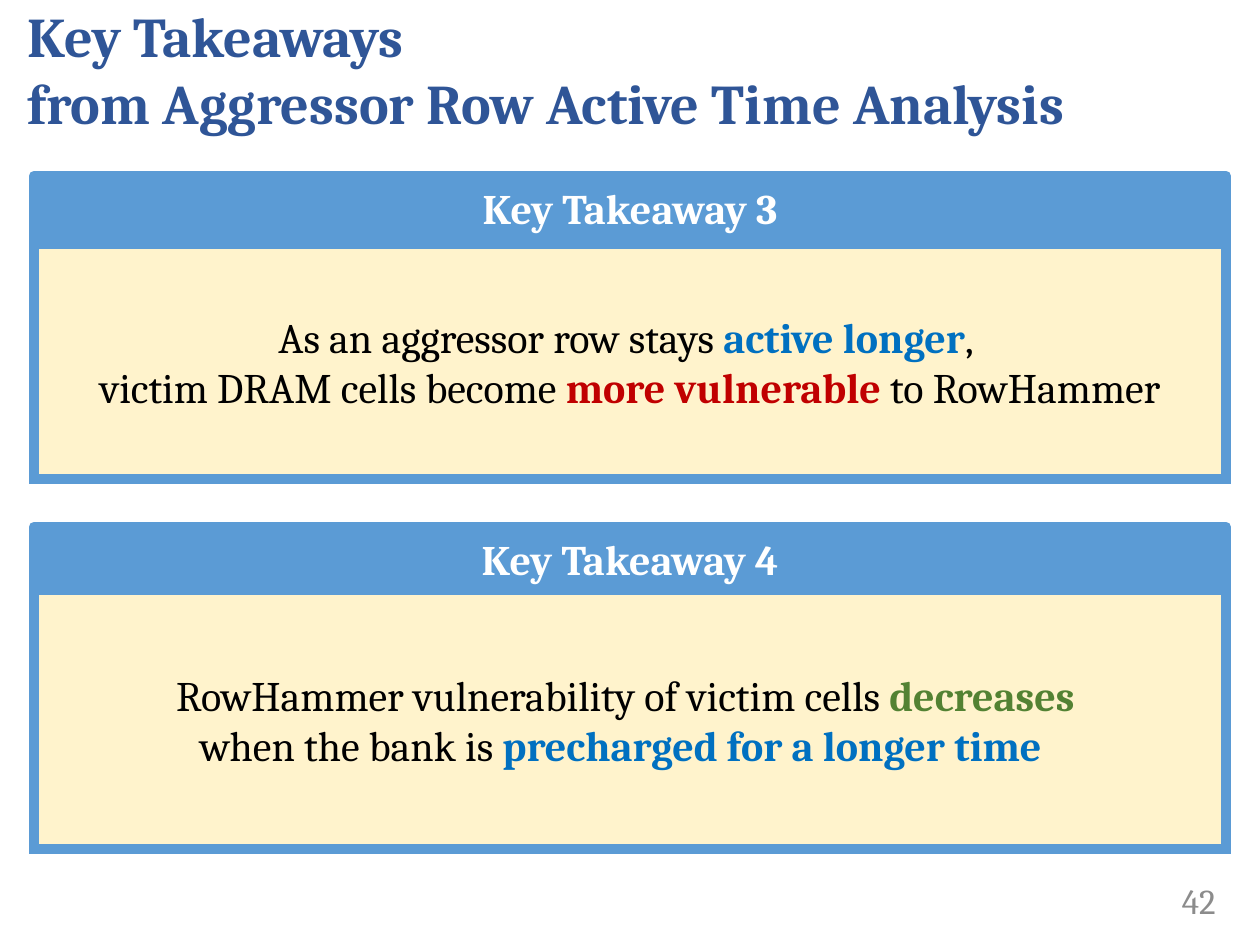
from lxml.etree import SubElement
from pptx import Presentation
from pptx.dml.color import RGBColor
from pptx.enum.shapes import MSO_SHAPE as SHAPE
from pptx.enum.text import MSO_ANCHOR as ANCHOR, PP_ALIGN as ALIGN
from pptx.oxml.ns import qn
from pptx.util import Pt

PX = 914400 // 126
FONT = "Cambria"
COLORS = {
    "title": "2F5597", "frame": "5B9BD5", "panel": "FFF3CC", "text": "000000",
    "white": "FFFFFF", "number": "8C8C8C",
    "blue": "0070C0", "red": "C00000", "green": "538233",
}

TITLE = "Key Takeaways\vfrom Aggressor Row Active Time Analysis"
PAGE = "42"
# Each line is a list of (text, color); colored words are bold.
TAKEAWAYS = [
    dict(
        heading="Key Takeaway 3", head_top=176, body_top=244, body_height=235,
        lines=[
            [("As an aggressor row stays ", "text"), ("active longer", "blue"), (", ", "text")],
            [("victim DRAM cells become ", "text"), ("more vulnerable ", "red"),
             ("to RowHammer", "text")],
        ],
    ),
    dict(
        heading="Key Takeaway 4", head_top=527, body_top=590, body_height=259,
        lines=[
            [("RowHammer vulnerability of victim cells ", "text"), ("decreases ", "green")],
            [("when the bank is ", "text"), ("precharged for a longer time  ", "blue")],
        ],
    ),
]
CARD_LEFT, CARD_WIDTH, HEAD_HEIGHT = 34, 1192, 63


def rgb(name):
    return RGBColor.from_string(COLORS[name])


def write(sp, lines, size=24, align=ALIGN.CENTER, anchor=ANCHOR.MIDDLE, after=0):
    tf = sp.text_frame
    tf.word_wrap = True
    tf.vertical_anchor = anchor
    for i, line in enumerate(lines):
        p = tf.paragraphs[0] if i == 0 else tf.add_paragraph()
        p.alignment = align
        p.space_after = Pt(after)
        for n, (text, color) in enumerate(line):
            for k, part in enumerate(text.split("\v")):
                if k:
                    p.add_line_break()
                r = p.add_run()
                r.text = part
                r.font.name = FONT
                r.font.size = Pt(size)
                r.font.bold = color not in ("text", "number")
                r.font.color.rgb = rgb(color)


def add_text(slide, box, lines, **fmt):
    write(slide.shapes.add_textbox(*(v * PX for v in box)), lines, **fmt)


def add_box(slide, kind, top, height, fill, join):
    sp = slide.shapes.add_shape(
        kind, *(v * PX for v in (CARD_LEFT, top, CARD_WIDTH, height)))
    sp.shadow.inherit = False
    sp.fill.solid()
    sp.fill.fore_color.rgb = rgb(fill)
    sp.line.color.rgb = rgb("frame")
    sp.line.width = Pt(6)
    SubElement(sp.line._get_or_add_ln(), qn("a:" + join))
    return sp


def add_takeaway(slide, card):
    body = add_box(slide, SHAPE.ROUNDED_RECTANGLE, card["body_top"],
                   card["body_height"], "panel", "miter")
    body.adjustments[0] = 0
    write(body, card["lines"])
    head = add_box(slide, SHAPE.RECTANGLE, card["head_top"], HEAD_HEIGHT, "frame", "round")
    write(head, [[(card["heading"], "white")]], anchor=ANCHOR.TOP)


def main():
    prs = Presentation()
    prs.slide_width, prs.slide_height = 1260 * PX, 945 * PX
    slide = prs.slides.add_slide(prs.slide_layouts[6])
    add_text(slide, (1092, 876, 136, 50), [[(PAGE, "number")]], size=20, align=ALIGN.RIGHT)
    for card in TAKEAWAYS:
        add_takeaway(slide, card)
    add_text(slide, (15, 0, 1245, 137), [[(TITLE, "title")]],
             size=32, align=ALIGN.LEFT, after=6)
    prs.save("out.pptx")


if __name__ == "__main__":
    main()
